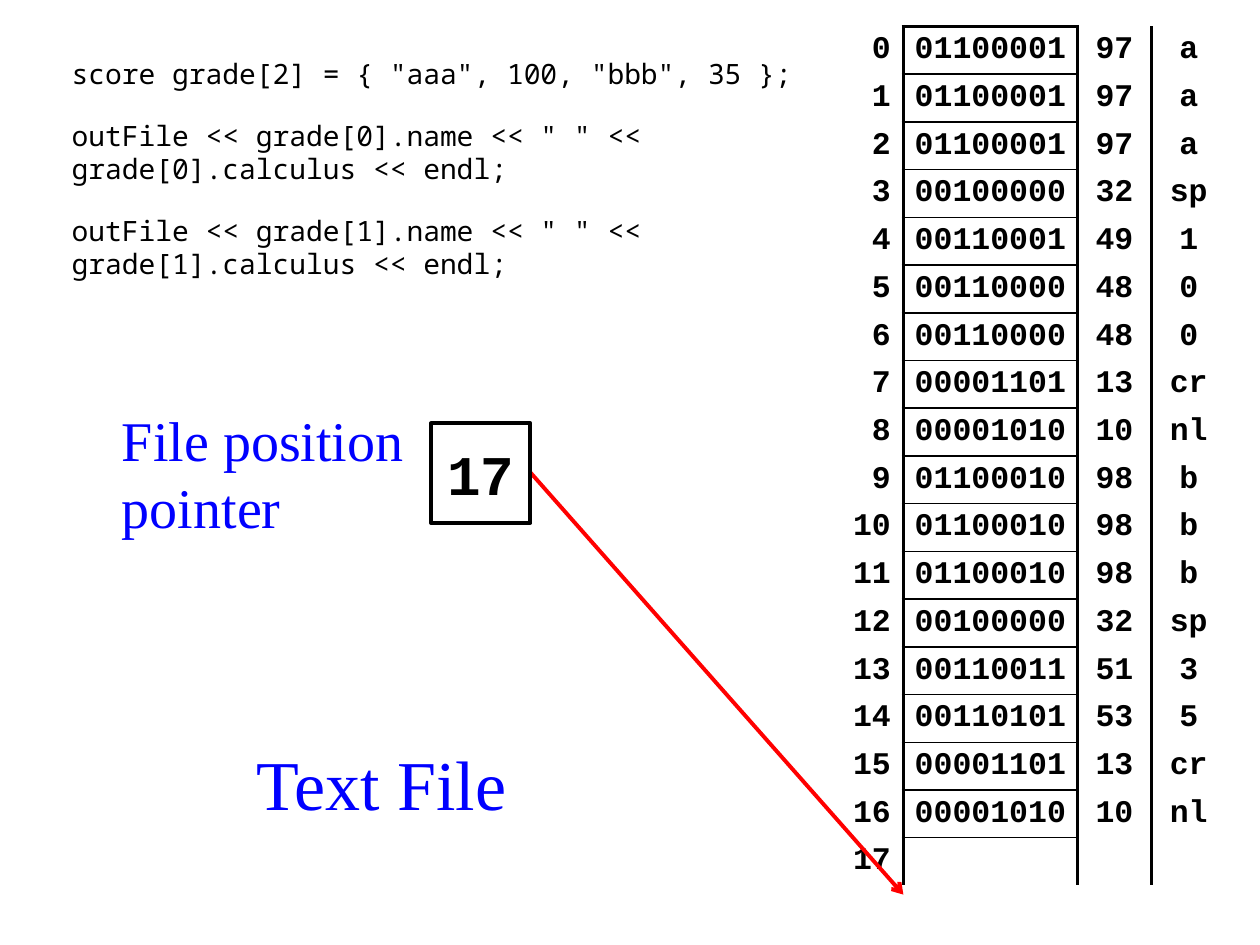
from dataclasses import dataclass

import pptx
from lxml import etree
from pptx import util as u
from pptx.dml import color
from pptx.enum import shapes, text
from pptx.oxml import ns

INK, BLUE, RED = "000000", "0000FF", "FF0000"
MONO, SERIF, CODE = "Courier New", "Times New Roman", "Noto Sans Mono"
THICK, THIN = 2.25, 1
NO_STYLE = "{2D5ABB26-0587-4C30-8999-92F81FD0307C}"

FILE_BYTES = [97, 97, 97, 32, 49, 48, 48, 13, 10, 98, 98, 98, 32, 51, 53, 13, 10]
CONTROL_NAMES = {32: "sp", 13: "cr", 10: "nl"}
COLUMN_WIDTHS = [0.59, 1.38, 0.59, 0.59]
ROW_COUNT = len(FILE_BYTES) + 1
TABLE_HEIGHT = 6.82


@dataclass
class TextBlock:
    left: float
    top: float
    width: float
    height: float
    lines: list[str]
    font: str
    size: float
    colour: str
    bold: bool = False
    align: text.PP_ALIGN = text.PP_ALIGN.LEFT
    anchor: text.MSO_ANCHOR = text.MSO_ANCHOR.MIDDLE
    wrap: bool = True
    gap: float = 0
    outlined: bool = False


TITLE = TextBlock(1.85, 5.72, 2.36, 0.98, ["Text File"], SERIF, 40, BLUE,
                  align=text.PP_ALIGN.CENTER)
SOURCE_CODE = TextBlock(
    0.47, 0.4, 6.3, 1.97,
    ['score grade[2] = { "aaa", 100, "bbb", 35 };',
     'outFile << grade[0].name << " " << grade[0].calculus << endl;',
     'outFile << grade[1].name << " " << grade[1].calculus << endl;'],
    CODE, 16, INK, anchor=text.MSO_ANCHOR.TOP, gap=16)
POSITION_BOX = TextBlock(3.42, 3.36, 0.79, 0.79, ["17"], MONO, 32, INK, bold=True,
                         align=text.PP_ALIGN.CENTER, wrap=False, outlined=True)
POSITION_LABEL = TextBlock(0.87, 3.16, 2.56, 1.18, ["File position", "pointer"],
                           SERIF, 32, BLUE, wrap=False)


def rgb(value: str) -> color.RGBColor:
    return color.RGBColor.from_string(value)


def apply(target, values: dict) -> None:
    for name, value in values.items():
        setattr(target, name, value)


def write(paragraph, words: str, font: str, size: float, colour: str,
          bold: bool, align) -> None:
    paragraph.alignment = align
    run = paragraph.add_run()
    run.text = words
    apply(run.font, {"name": font, "size": u.Pt(size), "bold": bold})
    run.font.color.rgb = rgb(colour)


def draw_text(slide, block: TextBlock) -> None:
    place = [u.Inches(n) for n in (block.left, block.top, block.width, block.height)]
    if block.outlined:
        shape = slide.shapes.add_shape(shapes.MSO_SHAPE.RECTANGLE, *place)
        shape.shadow.inherit = False
        shape.fill.background()
        shape.line.color.rgb = rgb(INK)
        shape.line.width = u.Pt(THICK)
    else:
        shape = slide.shapes.add_textbox(*place)
    frame = shape.text_frame
    apply(frame, {"word_wrap": block.wrap, "vertical_anchor": block.anchor})
    for index, line in enumerate(block.lines):
        paragraph = frame.add_paragraph() if index else frame.paragraphs[0]
        if index:
            paragraph.space_before = u.Pt(block.gap)
        write(paragraph, line, block.font, block.size, block.colour,
              block.bold, block.align)


def set_borders(cell, widths: dict[str, float]) -> None:
    properties = cell._tc.get_or_add_tcPr()
    for side in "LRTB":
        if side in widths:
            line = etree.SubElement(properties, ns.qn(f"a:ln{side}"),
                                    w=str(u.Pt(widths[side])))
            fill = etree.SubElement(line, ns.qn("a:solidFill"))
            etree.SubElement(fill, ns.qn("a:srgbClr"), val=INK)


def column_borders(row: int, column: int) -> dict[str, float]:
    if column == 0:
        return {"R": THICK}
    if column == 2:
        return {"L": THICK}
    if column == 3:
        return {}
    borders = {"L": THICK, "R": THICK, "T": THIN if row else THICK}
    if row < ROW_COUNT - 1:
        borders["B"] = THIN
    return borders


def draw_file_table(slide) -> None:
    frame = slide.shapes.add_table(
        ROW_COUNT, len(COLUMN_WIDTHS), u.Inches(6.58), u.Inches(0.21),
        u.Inches(sum(COLUMN_WIDTHS)), u.Inches(TABLE_HEIGHT))
    table = frame.table
    apply(table, {"first_row": False, "horz_banding": False})
    table._tbl.tblPr.find(ns.qn("a:tableStyleId")).text = NO_STYLE
    for column, width in zip(table.columns, COLUMN_WIDTHS):
        column.width = u.Inches(width)

    # One row for each byte, then the empty row after the end of the file
    contents = [(str(index), f"{byte:08b}", str(byte),
                 CONTROL_NAMES.get(byte, chr(byte)))
                for index, byte in enumerate(FILE_BYTES)]
    contents.append((str(len(FILE_BYTES)), "", "", ""))

    for row, values in enumerate(contents):
        table.rows[row].height = u.Inches(TABLE_HEIGHT / ROW_COUNT)
        for column, value in enumerate(values):
            cell = table.cell(row, column)
            side_margin = u.Inches(0.08 if column == 1 else 0.1)
            apply(cell, {"margin_left": side_margin, "margin_right": side_margin,
                         "margin_top": u.Inches(0.03),
                         "margin_bottom": u.Inches(0.03),
                         "vertical_anchor": text.MSO_ANCHOR.MIDDLE})
            set_borders(cell, column_borders(row, column))
            cell.fill.background()
            if value:
                align = text.PP_ALIGN.CENTER if column else text.PP_ALIGN.RIGHT
                write(cell.text_frame.paragraphs[0], value, MONO, 18, INK, True, align)


def draw_pointer_arrow(slide) -> None:
    arrow = slide.shapes.add_connector(
        shapes.MSO_CONNECTOR.STRAIGHT,
        *[u.Inches(n) for n in (4.21, 3.75, 7.17, 7.1)])
    arrow.line.color.rgb = rgb(RED)
    arrow.line.width = u.Pt(THICK)
    etree.SubElement(arrow.line._get_or_add_ln(), ns.qn("a:tailEnd"), type="arrow")
    etree.SubElement(arrow._element.spPr, ns.qn("a:effectLst"))


def main() -> None:
    presentation = pptx.Presentation()
    apply(presentation, {"slide_width": u.Inches(10), "slide_height": u.Inches(7.5)})
    slide = presentation.slides.add_slide(presentation.slide_layouts[6])

    # File contents, byte by byte
    draw_file_table(slide)
    draw_text(slide, TITLE)

    # Code and the file position pointer
    draw_pointer_arrow(slide)
    for block in (SOURCE_CODE, POSITION_BOX, POSITION_LABEL):
        draw_text(slide, block)

    presentation.save("out.pptx")


if __name__ == "__main__":
    main()
